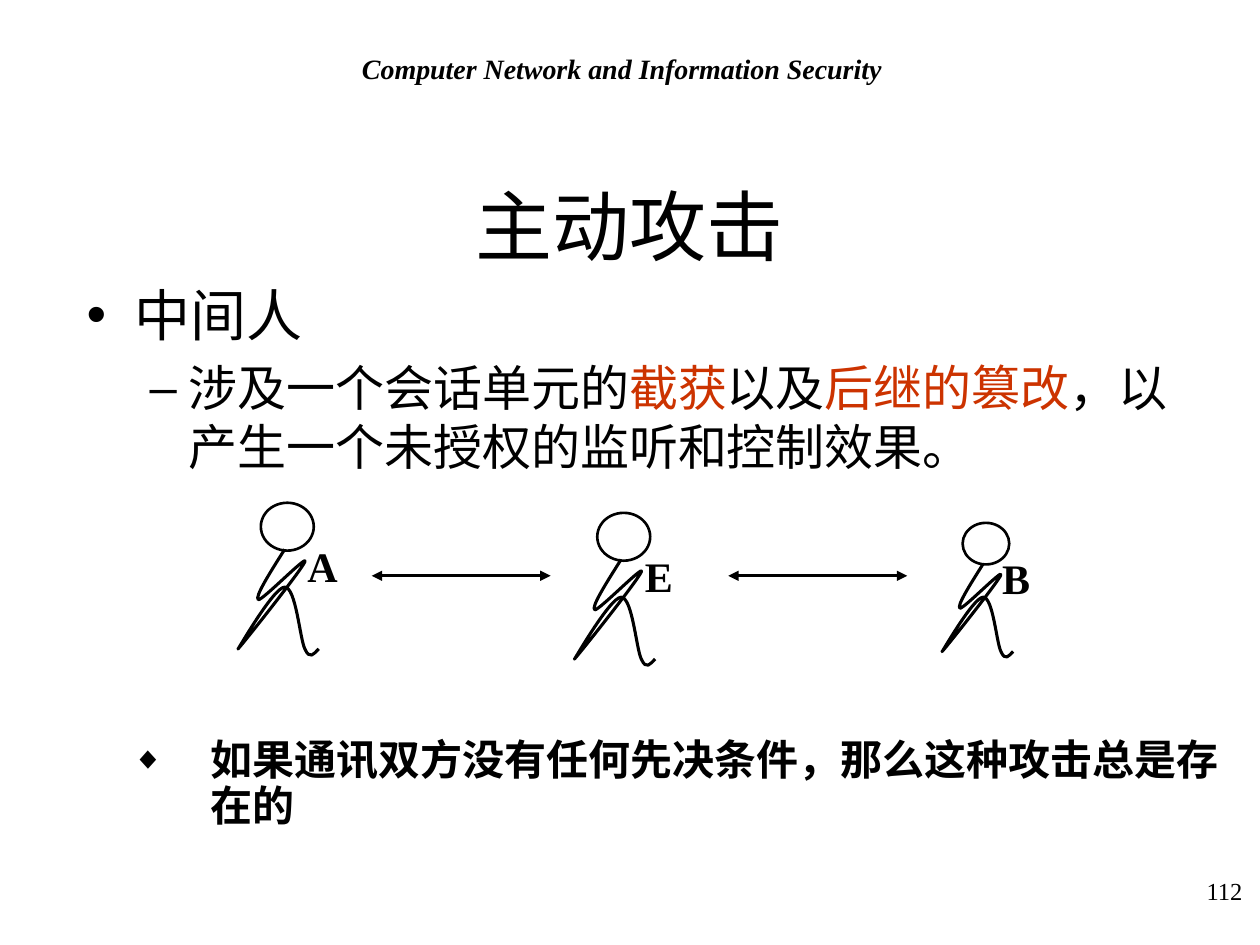
from typing import NamedTuple

from lxml import etree
from pptx import Presentation
from pptx.dml.color import RGBColor
from pptx.enum.shapes import MSO_CONNECTOR, MSO_SHAPE
from pptx.enum.text import MSO_ANCHOR, MSO_AUTO_SIZE, PP_ALIGN
from pptx.oxml.ns import qn
from pptx.util import Pt

LEFT, CENTER, RIGHT = PP_ALIGN.LEFT, PP_ALIGN.CENTER, PP_ALIGN.RIGHT
TOP, MIDDLE = MSO_ANCHOR.TOP, MSO_ANCHOR.MIDDLE
NO_AUTOFIT = MSO_AUTO_SIZE.NONE
OVAL, RECTANGLE, STRAIGHT = MSO_SHAPE.OVAL, MSO_SHAPE.RECTANGLE, MSO_CONNECTOR.STRAIGHT

PX = 9144
BLACK, RED, WHITE = "000000", "CC3300", "FFFFFF"
SANS, SERIF = "Arial", "Times New Roman"

BODY_START = (39, 37)
BODY_CURVES = [
    ((27, 56), (15, 75), (18, 77)),
    ((21, 78), (58, 40), (55, 47)),
    ((52, 54), (5, 113), (2, 116)),
    ((0, 120), (30, 67), (39, 67)),
    ((48, 67), (51, 108), (55, 116)),
    ((59, 125), (62, 120), (66, 116)),
]


class Box(NamedTuple):
    left: int
    top: int
    width: int
    height: int


class Style(NamedTuple):
    size: int
    font: str = SANS
    bold: bool = False
    italic: bool = False


class Bullet(NamedTuple):
    char: str
    margin: int
    hang: int
    percent: int = 100


class Person(NamedTuple):
    name: str
    left: int
    top: int
    scale: float = 1.0


class Channel(NamedTuple):
    start: int
    end: int
    y: int


PEOPLE = [Person("A", 187, 399), Person("E", 454, 407), Person("B", 746, 415, 0.88)]
CHANNELS = [Channel(295, 437, 457), Channel(578, 720, 457)]


def emu(length: float) -> int:
    return round(length * PX)


def color(value: str) -> RGBColor:
    return RGBColor.from_string(value)


def place(shape, box: Box) -> None:
    shape.left, shape.top, shape.width, shape.height = map(emu, box)


def format_run(run, style: Style, ink: str = BLACK) -> None:
    run.font.size = Pt(style.size)
    run.font.name = style.font
    run.font.bold = style.bold
    run.font.italic = style.italic
    run.font.color.rgb = color(ink)


def write(paragraph, parts: list[tuple[str, str]], style: Style, align=LEFT) -> None:
    paragraph.alignment = align
    for words, ink in parts:
        run = paragraph.add_run()
        run.text = words
        format_run(run, style, ink)


def add_frame(parent, box: Box, anchor=TOP, wrap: bool = True):
    frame = parent.shapes.add_textbox(*map(emu, box)).text_frame
    frame.word_wrap = wrap
    frame.vertical_anchor = anchor
    return frame


def set_bullet(paragraph, bullet: Bullet) -> None:
    properties = paragraph._p.get_or_add_pPr()
    properties.set("marL", str(emu(bullet.margin)))
    properties.set("indent", str(-emu(bullet.hang)))
    etree.SubElement(properties, qn("a:buSzPct")).set("val", str(bullet.percent * 1000))
    etree.SubElement(properties, qn("a:buFont")).set("typeface", SANS)
    etree.SubElement(properties, qn("a:buChar")).set("char", bullet.char)


def outline(shape, weight: float) -> None:
    shape.shadow.inherit = False
    shape.fill.background()
    shape.line.color.rgb = color(BLACK)
    shape.line.width = Pt(weight)


def bend(shape) -> None:
    track = next(shape._element.iter(qn("a:path")))
    segments = track.findall(qn("a:lnTo"))
    for first in range(0, len(segments), 3):
        curve = etree.SubElement(track, qn("a:cubicBezTo"))
        for segment in segments[first:first + 3]:
            curve.append(segment[0])
            track.remove(segment)


def draw_person(diagram, person: Person) -> None:
    def fit(box: Box) -> Box:
        return Box(
            round(person.left + box.left * person.scale),
            round(person.top + box.top * person.scale),
            round(box.width * person.scale),
            round(box.height * person.scale),
        )

    head = diagram.shapes.add_shape(OVAL, *map(emu, fit(Box(20, 0, 42, 38))))
    outline(head, 1.5)

    start, *rest = [
        (emu(person.left + x * person.scale), emu(person.top + y * person.scale))
        for x, y in [BODY_START, *(point for curve in BODY_CURVES for point in curve)]
    ]
    builder = diagram.shapes.build_freeform(*start)
    builder.add_line_segments(rest, close=False)
    body = builder.convert_to_shape()
    bend(body)
    outline(body, 1.75)

    label = add_frame(diagram, fit(Box(55, 31, 28, 38)), MIDDLE, wrap=False)
    label.margin_left = label.margin_right = 0
    write(label.paragraphs[0], [(person.name, BLACK)], Style(24, SERIF, bold=True), CENTER)


def draw_channel(diagram, channel: Channel) -> None:
    ends = (channel.start, channel.y, channel.end, channel.y)
    arrow = diagram.shapes.add_connector(STRAIGHT, *map(emu, ends))
    arrow.line.color.rgb = color(BLACK)
    arrow.line.width = Pt(1.5)
    for tip in ("a:headEnd", "a:tailEnd"):
        etree.SubElement(arrow.line._get_or_add_ln(), qn(tip)).set("type", "triangle")
    etree.SubElement(arrow._element.spPr, qn("a:effectLst"))


def main() -> None:
    deck = Presentation()
    deck.slide_width, deck.slide_height = emu(1000), emu(750)
    slide = deck.slides.add_slide(deck.slide_layouts[5])

    title = slide.shapes.title
    place(title, Box(50, 139, 900, 78))
    title.text_frame.text = "主动攻击"
    title.text_frame.auto_size = NO_AUTOFIT
    title.text_frame.vertical_anchor = MIDDLE
    heading = title.text_frame.paragraphs[0]
    heading.alignment = CENTER
    format_run(heading.runs[0], Style(44))

    header = slide.shapes.add_shape(RECTANGLE, *map(emu, Box(161, 36, 661, 37)))
    header.shadow.inherit = False
    header.fill.solid()
    header.fill.fore_color.rgb = color(WHITE)
    header.line.fill.background()
    header.text_frame.word_wrap = True
    header.text_frame.margin_left = emu(14)
    write(header.text_frame.paragraphs[0],
          [("Computer Network and Information Security", BLACK)],
          Style(16, SERIF, bold=True, italic=True), CENTER)

    page_number = add_frame(slide, Box(763, 690, 233, 52))
    write(page_number.paragraphs[0], [("112", BLACK)], Style(14, SERIF), RIGHT)

    content = add_frame(slide, Box(59, 218, 900, 370))
    topic = content.paragraphs[0]
    write(topic, [("中间人", BLACK)], Style(32))
    topic.space_before = Pt(6.4)
    set_bullet(topic, Bullet("•", 38, 38))

    definition = content.add_paragraph()
    write(definition, [
        ("涉及一个会话单元的", BLACK),
        ("截获", RED),
        ("以及", BLACK),
        ("后继的篡改", RED),
        ("，以产生一个未授权的监听和控制效果。", BLACK),
    ], Style(28))
    definition.level = 1
    definition.space_before = Pt(5.6)
    set_bullet(definition, Bullet("–", 81, 31))

    diagram = slide.shapes.add_group_shape()
    for person in PEOPLE:
        draw_person(diagram, person)
    for channel in CHANNELS:
        draw_channel(diagram, channel)

    conclusion = add_frame(slide, Box(95, 582, 901, 83)).paragraphs[0]
    write(conclusion, [("如果通讯双方没有任何先决条件，那么这种攻击总是存在的", BLACK)],
          Style(24, bold=True))
    conclusion.line_spacing = 0.9
    conclusion.space_before = Pt(7.2)
    set_bullet(conclusion, Bullet("◆", 62, 62, 75))

    deck.save("out.pptx")


if __name__ == "__main__":
    main()
